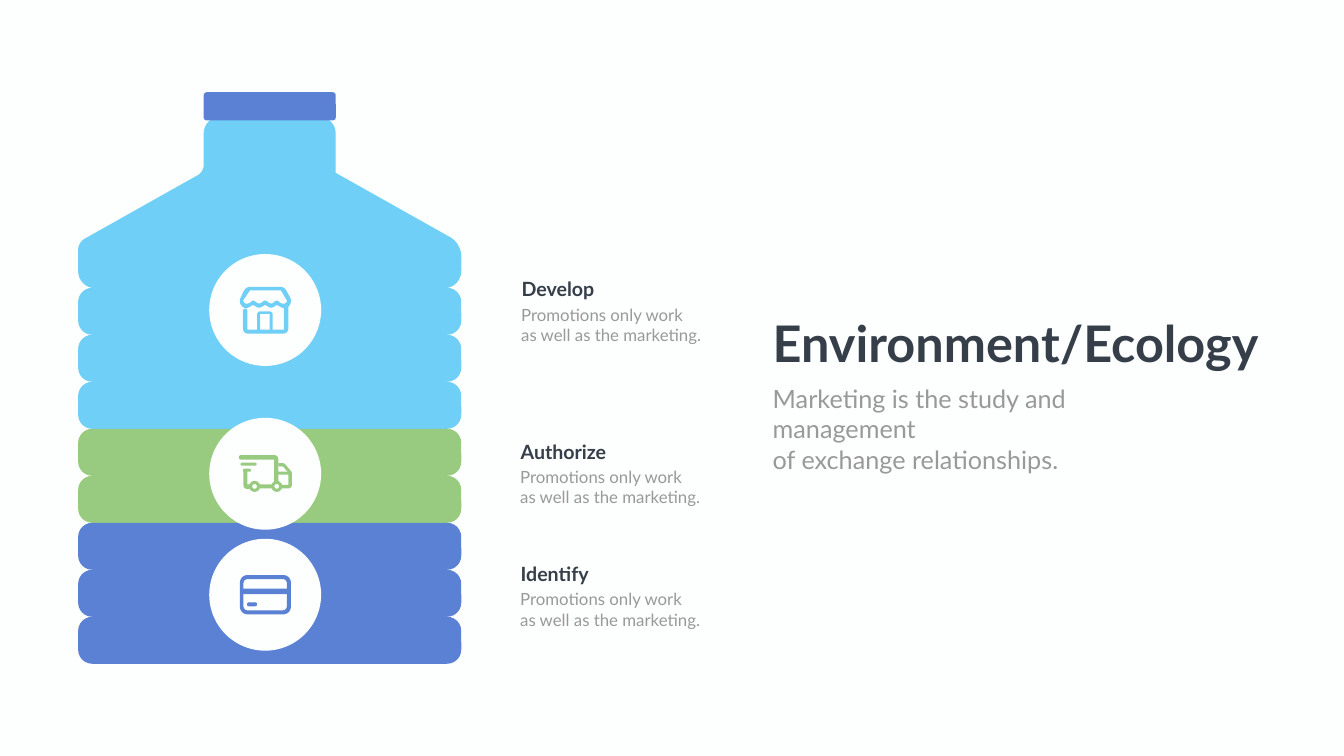
from math import hypot

from pptx import Presentation, util as u
from pptx.dml.color import RGBColor
from pptx.enum import shapes, text

WIDTH, HEIGHT = 26.66, 15
FONT = "Lato"
COLOURS = {"paper": "FDFFFE", "sky": "70CFF6", "leaf": "98CB7F",
           "ocean": "5A81D4", "ink": "353E49", "grey": "989998"}

TITLE = ["Environment/Ecology"]
SUBTITLE = ["Marketing is the study and management", "of exchange relationships."]
DETAIL = ["Promotions only work", "as well as the marketing."]

# Bottle, in inches
LEFT, RIGHT, BAND_TOP, BOTTOM = 1.55, 9.15, 5.71, 13.17
BANDS = ["sky"] * 3 + ["leaf"] * 2 + ["ocean"] * 3
CAP = (4.04, 1.83, 2.62, 0.56, 0.06)
SHOULDERS = [(4.04, 2.31, 0.34), (6.66, 2.31, 0.34), (6.66, 3.43),
             (RIGHT, 4.83, 0.24), (RIGHT, 5.72, 0.34), (LEFT, 5.72, 0.34),
             (LEFT, 4.81, 0.14), (4.04, 3.41, 0.13)]
DISC_X, DISC_RADIUS = 5.26, 1.11

# Icons, in hundredths of an inch from the disc centre.
# Outlines hold contours of (x, y, corner radius); bars are (left, top, width, height, radius).
SHOP = {"outlines": [
    [[(-16, 46), (-16, 3, 6), (15, 3, 6), (15, 46)],
     [(-10, 40), (-10, 8), (9, 8), (9, 40)]],
    [[(-44, -2, 4), (-35, -2, 4), (-35, 39), (37, 39), (37, -10),
      (46, -10), (46, 47, 10), (-44, 47, 10)]],
    [[(-38, -46, 8), (38, -46, 8), (51, -22, 3), (51, -4, 13), (36, -3, 5),
      (23, -10), (12, -3, 5), (0, -10), (-12, -3, 5), (-24, -10),
      (-36, -3, 5), (-50, -4, 13), (-50, -22, 3)],
     [(-30, -39), (31, -39), (43, -19), (43, -13, 5), (32, -12, 5),
      (23, -20, 4), (12, -11, 5), (0, -20, 4), (-12, -11, 5),
      (-24, -20, 4), (-32, -12, 5), (-43, -13, 5), (-43, -20)]]]}
TRUCK = {"outlines": [
    [[(26, -21), (38, -21, 3), (53, -3, 2), (53, 29, 7), (30, 29),
      (30, 22), (46, 22), (46, -2), (36, -14), (26, -15)]],
    [[(-52, -37, 4), (26, -37, 8), (26, 18), (18, 19), (18, -28), (-52, -28, 4)]],
    [[(-43, -7), (-35, -7), (-35, 21), (-28, 21), (-27, 30), (-43, 30, 7)]]],
    "bars": [(23, -4, 27, 6, 0), (-15, 21, 31, 8, 0),
             (-49, -22, 32, 6, 3), (-44, -10, 16, 6, 3)],
    "wheels": [(-32, 14, 22), (12, 14, 22)]}
CARD = {"outlines": [
    [[(-50, -39, 15), (51, -39, 15), (51, 39, 15), (-50, 39, 15)],
     [(-43, -31, 8), (43, -31, 8), (43, 31, 8), (-43, 31, 8)]]],
    "bars": [(-45, -12, 92, 11, 0), (-36, 15, 20, 8, 4)]}

# Heading, colour, icon, disc centre, label left, label top
STAGES = [("Develop", "sky", SHOP, 6.15, 10.25, 5.45),
          ("Authorize", "leaf", TRUCK, 9.4, 10.23, 8.67),
          ("Identify", "ocean", CARD, 11.8, 10.23, 11.1)]


def rgb(name):
    return RGBColor.from_string(COLOURS[name])


def paint(shape, colour):
    shape.shadow.inherit = False
    shape.fill.solid()
    shape.fill.fore_color.rgb = rgb(colour)
    shape.line.fill.background()


def add_preset(page, kind, left, top, width, height, colour, adjust=None):
    shape = page.shapes.add_shape(kind, *map(u.Inches, (left, top, width, height)))
    if adjust is not None:
        shape.adjustments[0] = adjust
    paint(shape, colour)


def add_bar(page, left, top, width, height, radius, colour):
    if radius:
        add_preset(page, shapes.MSO_SHAPE.ROUNDED_RECTANGLE, left, top, width,
                   height, colour, radius / min(width, height))
    else:
        add_preset(page, shapes.MSO_SHAPE.RECTANGLE, left, top, width, height, colour)


def round_corners(contour, steps=8):
    """Replace each vertex that has a radius by points along a Bezier arc."""
    points = []
    for index, (x, y, *radius) in enumerate(contour):
        if not radius:
            points.append((x, y))
            continue
        ends = []
        for other in (contour[index - 1], contour[(index + 1) % len(contour)]):
            share = radius[0] / hypot(other[0] - x, other[1] - y)
            ends.append(((other[0] - x) * share, (other[1] - y) * share))
        (ax, ay), (bx, by) = ends
        for step in range(steps + 1):
            t = step / steps
            a = (1 - t) ** 3 + 1.35 * (1 - t) ** 2 * t
            b = t ** 3 + 1.35 * (1 - t) * t ** 2
            points.append((x + a * ax + b * bx, y + a * ay + b * by))
    return points


def add_outline(page, contours, colour, origin=(0, 0), unit=1):
    builder = None
    for contour in contours:
        points = [(u.Inches(origin[0] + x * unit), u.Inches(origin[1] + y * unit))
                  for x, y in round_corners(contour)]
        if builder is None:
            builder = page.shapes.build_freeform(*points[0], scale=1.0)
        else:
            builder.move_to(*points[0])
        builder.add_line_segments(points[1:], close=True)
    paint(builder.convert_to_shape(), colour)


def add_icon(page, icon, colour, centre):
    unit = 0.01
    for contours in icon["outlines"]:
        add_outline(page, contours, colour, centre, unit)
    for left, top, *lengths in icon.get("bars", []):
        add_bar(page, centre[0] + left * unit, centre[1] + top * unit,
                *[length * unit for length in lengths], colour)
    for left, top, size in icon.get("wheels", []):
        add_preset(page, shapes.MSO_SHAPE.DONUT, centre[0] + left * unit,
                   centre[1] + top * unit, size * unit, size * unit, colour, 0.28)


def add_text(page, lines, left, top, width, height, size, colour, bold=False, wrap=True):
    box = page.shapes.add_textbox(*map(u.Inches, (left, top, width, height)))
    frame = box.text_frame
    frame.word_wrap = wrap
    frame.auto_size = text.MSO_AUTO_SIZE.SHAPE_TO_FIT_TEXT
    for index, line in enumerate(lines):
        para = frame.add_paragraph() if index else frame.paragraphs[0]
        para.text = line
        para.font.name = FONT
        para.font.size = u.Pt(size)
        para.font.bold = bold
        para.font.color.rgb = rgb(colour)


def add_bottle(page):
    pitch = (BOTTOM - BAND_TOP) / len(BANDS)
    for row, colour in enumerate(BANDS):
        add_bar(page, LEFT, BAND_TOP + row * pitch, RIGHT - LEFT, pitch, 0.28, colour)
    add_outline(page, [SHOULDERS], "sky")
    add_bar(page, *CAP, "ocean")


def main():
    deck = Presentation()
    deck.slide_width, deck.slide_height = u.Inches(WIDTH), u.Inches(HEIGHT)
    page = deck.slides.add_slide(deck.slide_layouts[6])
    page.background.fill.solid()
    page.background.fill.fore_color.rgb = rgb("paper")

    add_bottle(page)
    for heading, colour, icon, middle, left, top in STAGES:
        add_preset(page, shapes.MSO_SHAPE.OVAL, DISC_X - DISC_RADIUS,
                   middle - DISC_RADIUS, 2 * DISC_RADIUS, 2 * DISC_RADIUS, "paper")
        add_icon(page, icon, colour, (DISC_X, middle))
        add_text(page, [heading], left, top, 2.2, 0.57, 28, "ink", bold=True)
        add_text(page, DETAIL, left - 0.01, top + 0.54, 3.9, 0.91, 24, "grey")
    add_text(page, TITLE, 15.23, 6.14, 10.26, 1.31, 72, "ink", bold=True, wrap=False)
    add_text(page, SUBTITLE, 15.23, 7.56, 8.96, 1.31, 36, "grey")

    deck.save("out.pptx")


if __name__ == "__main__":
    main()
